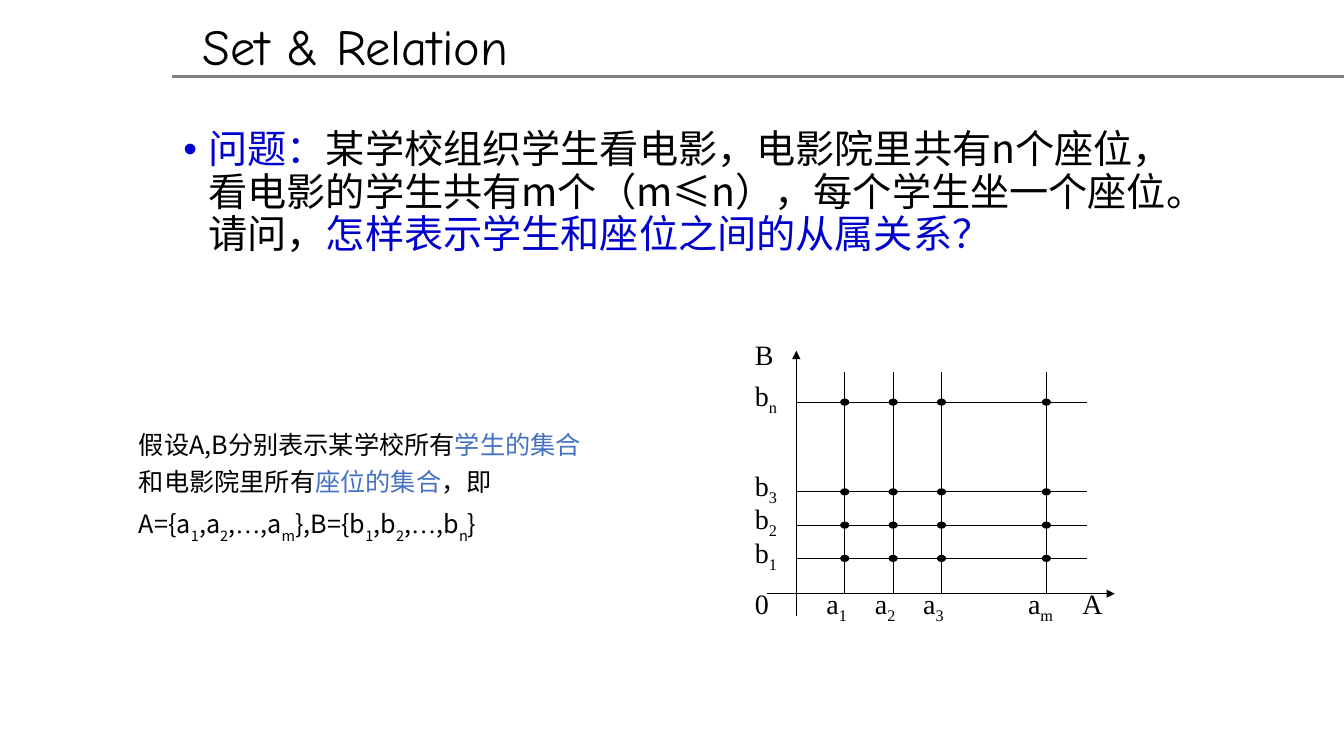
from lxml import etree
from pptx import Presentation
from pptx import util as u
from pptx.dml.color import RGBColor
from pptx.enum import shapes, text
from pptx.oxml import ns


class Theme:
    black, blue, accent, grey = "000000", "0000CC", "4472C4", "808080"
    chinese, serif, heading = "Noto Sans CJK SC", "Times New Roman", "Comic Neue"
    title, question, label, body = 36, 28, 20, 18
    hairline, rule = 0.75, 2


# Slide grid: square cells, ten to the inch
COLUMNS, ROWS = 133.33, 75
CELL = u.Inches(0.1)
deck = Presentation()
deck.slide_width, deck.slide_height = round(COLUMNS * CELL), ROWS * CELL
page = deck.slides.add_slide(deck.slide_layouts[6])


def write(place, paragraphs, size, face, align=None):
    """Add a text box; each run is (words, colour, baseline, optional face)."""
    box = page.shapes.add_textbox(*(round(n * CELL) for n in place))
    box.text_frame.word_wrap = True
    for index, runs in enumerate(paragraphs):
        para = box.text_frame.paragraphs[0] if index == 0 else box.text_frame.add_paragraph()
        para.alignment = align
        for words, colour, baseline, *other in runs:
            span = para.add_run()
            span.text = words
            span.font.size = u.Pt(size)
            span.font.name = other[0] if other else face
            span.font.color.rgb = RGBColor.from_string(colour)
            properties = span.font._element
            etree.SubElement(properties, ns.qn("a:ea"), typeface=span.font.name)
            if baseline:
                properties.set("baseline", str(baseline * 1000))
    return box


def draw_line(start, end, colour, width, arrow=False):
    ends = [round(n * CELL) for n in (*start, *end)]
    line = page.shapes.add_connector(shapes.MSO_CONNECTOR.STRAIGHT, *ends)
    line.line.color.rgb = RGBColor.from_string(colour)
    line.line.width = u.Pt(width)
    if arrow:
        etree.SubElement(line.line._get_or_add_ln(), ns.qn("a:tailEnd"), type="triangle")
    etree.SubElement(line._element.spPr, ns.qn("a:effectLst"))


# Header
draw_line((17.1, 7.6), (COLUMNS, 7.6), Theme.grey, Theme.rule)
write((19.1, 1, 63, 7.1), [[("Set & Relation", Theme.black, 0)]], Theme.title, Theme.heading)

# Question
question = write((17.2, 12.4, 101.8, 17.4), [[
    ("问题：", Theme.blue, 0),
    ("某学校组织学生看电影，电影院里共有n个座位，看电影的学生共有m个（m≤n），"
     "每个学生坐一个座位。请问，", Theme.black, 0),
    ("怎样表示学生和座位之间的从属关系？", Theme.blue, 0),
]], Theme.question, Theme.chinese)
para = question.text_frame.paragraphs[0]
para.line_spacing = 0.9
bullet = para._p.get_or_add_pPr()
bullet.set("marL", str(u.Inches(0.25)))
bullet.set("indent", str(u.Inches(-0.25)))
etree.SubElement(bullet, ns.qn("a:buFont"), typeface="Arial")
etree.SubElement(bullet, ns.qn("a:buChar"), char="•")

# Assumption and the two sets
assumption = [
    ("假设A,B分别表示某学校所有", Theme.black, 0),
    ("学生的集合", Theme.accent, 0),
    ("和电影院里所有", Theme.black, 0),
    ("座位的集合", Theme.accent, 0),
    ("，即", Theme.black, 0),
]
sets = []
for opening, member, last, closing in (("A={", "a", "m", "},"), ("B={", "b", "n", "}")):
    sets += [
        (opening + member, Theme.black, 0), ("1", Theme.black, -30),
        ("," + member, Theme.black, 0), ("2", Theme.black, -30),
        (",", Theme.black, 0), ("…", Theme.black, 0, Theme.serif),
        ("," + member, Theme.black, 0), (last, Theme.black, -30),
        (closing, Theme.black, 0),
    ]
definition = write((12.8, 33, 46.6, 30), [assumption, sets], Theme.body, Theme.chinese)
definition.text_frame.vertical_anchor = text.MSO_ANCHOR.MIDDLE
for para in definition.text_frame.paragraphs:
    para.line_spacing = 1.2
definition.text_frame.paragraphs[1].space_before = u.Pt(0.2 * Theme.body)

# Diagram axes
origin_x, origin_y = 79, 58.9
draw_line((76.1, origin_y), (110.6, origin_y), Theme.black, Theme.hairline, arrow=True)
draw_line((origin_x, 61.1), (origin_x, 34.8), Theme.black, Theme.hairline, arrow=True)

# Grid lines: students across, seats upwards
students = {str(i): origin_x + 4.8 * i for i in (1, 2, 3)} | {"m": 103.8}
seats = {str(i): origin_y - 0.2 - 3.3 * i for i in (1, 2, 3)} | {"n": 39.9}
for y in seats.values():
    draw_line((origin_x, y), (107.8, y), Theme.black, Theme.hairline)
for x in students.values():
    draw_line((x, origin_y), (x, 36.9), Theme.black, Theme.hairline)

# Dots at the crossings
dot_width, dot_height = 0.8, 0.6
for x in students.values():
    for y in seats.values():
        place = (x - dot_width / 2, y - dot_height / 2, dot_width, dot_height)
        dot = page.shapes.add_shape(shapes.MSO_SHAPE.OVAL, *(round(n * CELL) for n in place))
        dot.shadow.inherit = False
        dot.fill.solid()
        dot.fill.fore_color.rgb = RGBColor.from_string(Theme.black)
        dot.line.color.rgb = RGBColor.from_string(Theme.black)
        dot.line.width = u.Pt(Theme.hairline)

# Axis labels
label_left, label_top, offset = 73.9, 57.7, 2.8
labels = [("a", i, x - offset, label_top) for i, x in students.items()]
labels += [("b", i, label_left, y - offset) for i, y in seats.items()]
labels += [("A", "", 106.4, label_top), ("B", "", label_left, 33), ("0", "", label_left, label_top)]
for letter, index, left, top in labels:
    runs = [(letter, Theme.black, 0)]
    if index:
        runs.append((index, Theme.black, -25))
    write((left, top, 7.8, 5.2), [runs], Theme.label, Theme.serif, text.PP_ALIGN.JUSTIFY)

deck.save("out.pptx")
